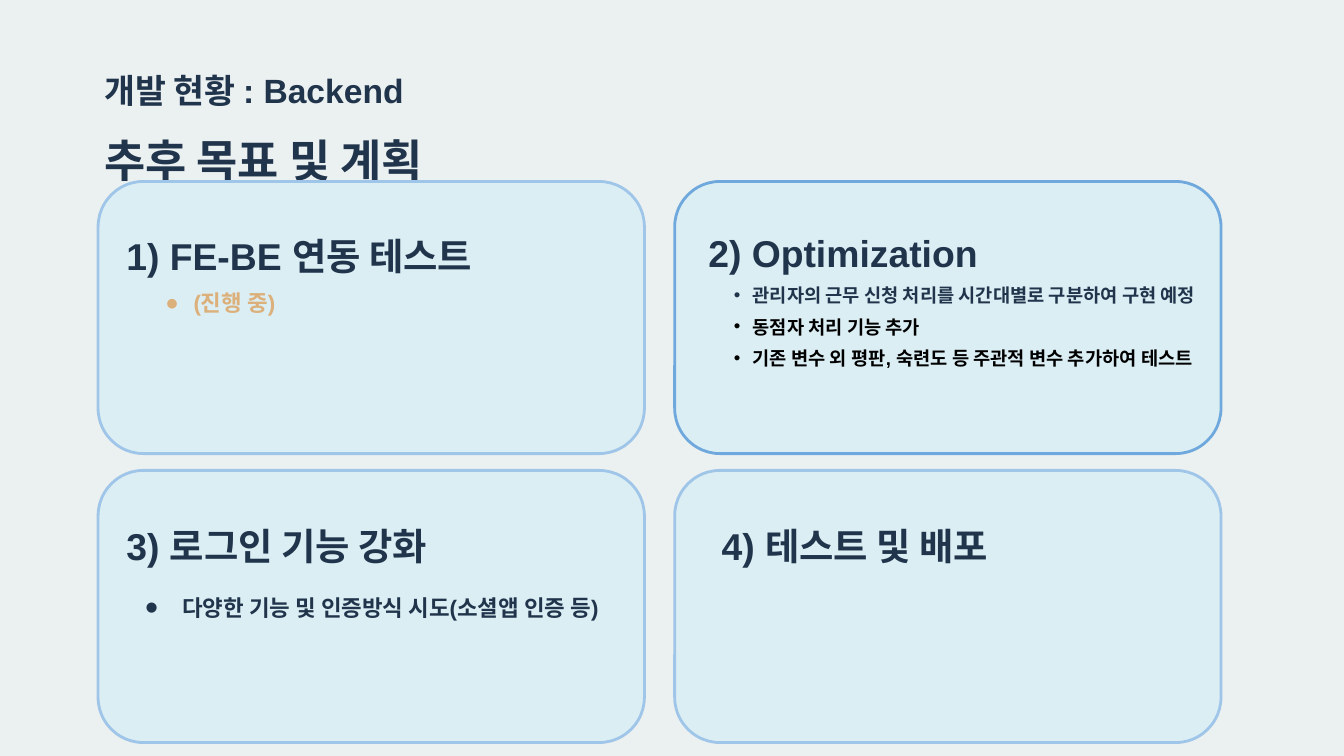
from lxml import etree
from pptx import Presentation
from pptx.dml.color import RGBColor
from pptx.enum.shapes import MSO_SHAPE
from pptx.enum.text import MSO_ANCHOR, MSO_AUTO_SIZE, PP_ALIGN
from pptx.oxml.ns import qn
from pptx.util import Inches, Pt

ROUNDED = MSO_SHAPE.ROUNDED_RECTANGLE
TOP = MSO_ANCHOR.TOP
NO_FIT = MSO_AUTO_SIZE.NONE
LEFT = PP_ALIGN.LEFT

BACKGROUND = RGBColor(0xEB, 0xF0, 0xF1)
NAVY = RGBColor(0x20, 0x34, 0x4B)
BLACK = RGBColor(0x00, 0x00, 0x00)
SAND = RGBColor(0xDC, 0xB0, 0x7B)
CARD_FILL = RGBColor(0xDB, 0xEE, 0xF4)
CARD_EDGE = RGBColor(0x9F, 0xC5, 0xE8)
ACTIVE_EDGE = RGBColor(0x6F, 0xA8, 0xDC)

FONT = "Arial"
LINE_SPACING = 1.4
COMPARISON_LAYOUT = 4
GRID_LEFT, GRID_TOP = 1.46, 2.7
CARD_WIDTH, CARD_HEIGHT = 8.13, 4.05
COLUMN_STEP, ROW_STEP = 8.58, 4.3

ACTIVE_STYLE = {"size": 20, "margin": 0.66, "hang": 0.28, "level": 1}
PROGRESS_STYLE = {"size": 24, "margin": 1, "hang": 0.42, "mark": "●"}
LOGIN_STYLE = {"size": 24, "margin": 0.83, "hang": 0.55, "level": 1,
               "mark_scale": 167, "before": 16}

GOALS = [
    {"heading": "1) FE-BE 연동 테스트", "inset": (0.32, 0.41), "size": (7.49, 2.61),
     "items": [("(진행 중)", SAND)], "style": PROGRESS_STYLE},
    {"heading": "2) Optimization", "inset": (0.4, 0.36), "size": (7.49, 3.14),
     "edge": ACTIVE_EDGE, "style": ACTIVE_STYLE,
     "items": [("관리자의 근무 신청 처리를 시간대별로 구분하여 구현 예정", NAVY),
               ("동점자 처리 기능 추가", BLACK),
               ("기존 변수 외 평판, 숙련도 등 주관적 변수 추가하여 테스트", BLACK)]},
    {"heading": "3) 로그인 기능 강화", "inset": (0.32, 0.42), "size": (7.49, 2.85),
     "items": [("다양한 기능 및 인증방식 시도(소셜앱 인증 등)", NAVY)], "style": LOGIN_STYLE},
    {"heading": "4) 테스트 및 배포", "inset": (0.6, 0.42), "size": (6.54, 2.85)},
]


def place(shape, left, top, width, height):
    shape.left, shape.top = Inches(left), Inches(top)
    shape.width, shape.height = Inches(width), Inches(height)


def prepare_frame(shape, inset):
    frame = shape.text_frame
    frame.word_wrap = True
    frame.auto_size = NO_FIT
    frame.vertical_anchor = TOP
    frame.margin_left = frame.margin_right = Inches(inset)
    frame.margin_top = frame.margin_bottom = Inches(inset)
    return frame


def write(paragraph, text, size, color, before=0):
    paragraph.text = text
    paragraph.alignment = LEFT
    paragraph.line_spacing = LINE_SPACING
    paragraph.space_before = Pt(before)
    paragraph.font.name = FONT
    paragraph.font.size = Pt(size)
    paragraph.font.bold = True
    paragraph.font.color.rgb = color


def set_bullet(paragraph, color, margin, hang, mark, mark_scale):
    properties = paragraph._p.get_or_add_pPr()
    properties.set("marL", str(Inches(margin)))
    properties.set("indent", str(-Inches(hang)))
    mark_color = etree.SubElement(properties, qn("a:buClr"))
    etree.SubElement(mark_color, qn("a:srgbClr"), val=str(color))
    etree.SubElement(properties, qn("a:buSzPct"), val=str(mark_scale * 1000))
    etree.SubElement(properties, qn("a:buFont"), typeface=FONT)
    etree.SubElement(properties, qn("a:buChar"), char=mark)


def add_item(frame, text, color, size, margin, hang, level=0, mark="•",
             mark_scale=100, before=0):
    paragraph = frame.add_paragraph()
    paragraph.level = level
    set_bullet(paragraph, color, margin, hang, mark, mark_scale)
    write(paragraph, text, size, color, before)


def add_header(slide, left, top):
    section = slide.shapes.add_textbox(
        Inches(left), Inches(top), Inches(5.52), Inches(0.61))
    write(prepare_frame(section, 0).paragraphs[0], "개발 현황 : Backend", 36, NAVY)
    title = slide.shapes.title
    place(title, left, top + 0.85, 5.13, 0.81)
    write(prepare_frame(title, 0).paragraphs[0], "추후 목표 및 계획", 48, NAVY)


def add_goal(slide, body, goal, left, top):
    card = slide.shapes.add_shape(
        ROUNDED, Inches(left), Inches(top), Inches(CARD_WIDTH), Inches(CARD_HEIGHT))
    card.shadow.inherit = False
    card.fill.solid()
    card.fill.fore_color.rgb = CARD_FILL
    card.line.color.rgb = goal.get("edge", CARD_EDGE)
    card.line.width = Pt(3)

    card.element.addnext(body.element)
    inset_x, inset_y = goal["inset"]
    place(body, left + inset_x, top + inset_y, *goal["size"])
    body.line.color.rgb = CARD_FILL
    body.line.width = Pt(0.75)
    frame = prepare_frame(body, 0.1)
    heading = frame.paragraphs[0]
    properties = heading._p.get_or_add_pPr()
    properties.set("marL", "0")
    properties.set("indent", "0")
    etree.SubElement(properties, qn("a:buNone"))
    write(heading, goal["heading"], 40, NAVY)
    for text, color in goal.get("items", []):
        add_item(frame, text, color, **goal["style"])


def main():
    presentation = Presentation()
    presentation.slide_width, presentation.slide_height = Inches(20), Inches(11.25)
    slide = presentation.slides.add_slide(presentation.slide_layouts[COMPARISON_LAYOUT])
    slide.background.fill.solid()
    slide.background.fill.fore_color.rgb = BACKGROUND
    add_header(slide, 1.55, 0.8)
    bodies = list(slide.placeholders)[1:]
    for index, (body, goal) in enumerate(zip(bodies, GOALS)):
        row, column = divmod(index, 2)
        add_goal(slide, body, goal,
                 GRID_LEFT + column * COLUMN_STEP, GRID_TOP + row * ROW_STEP)
    presentation.save("out.pptx")


if __name__ == "__main__":
    main()
